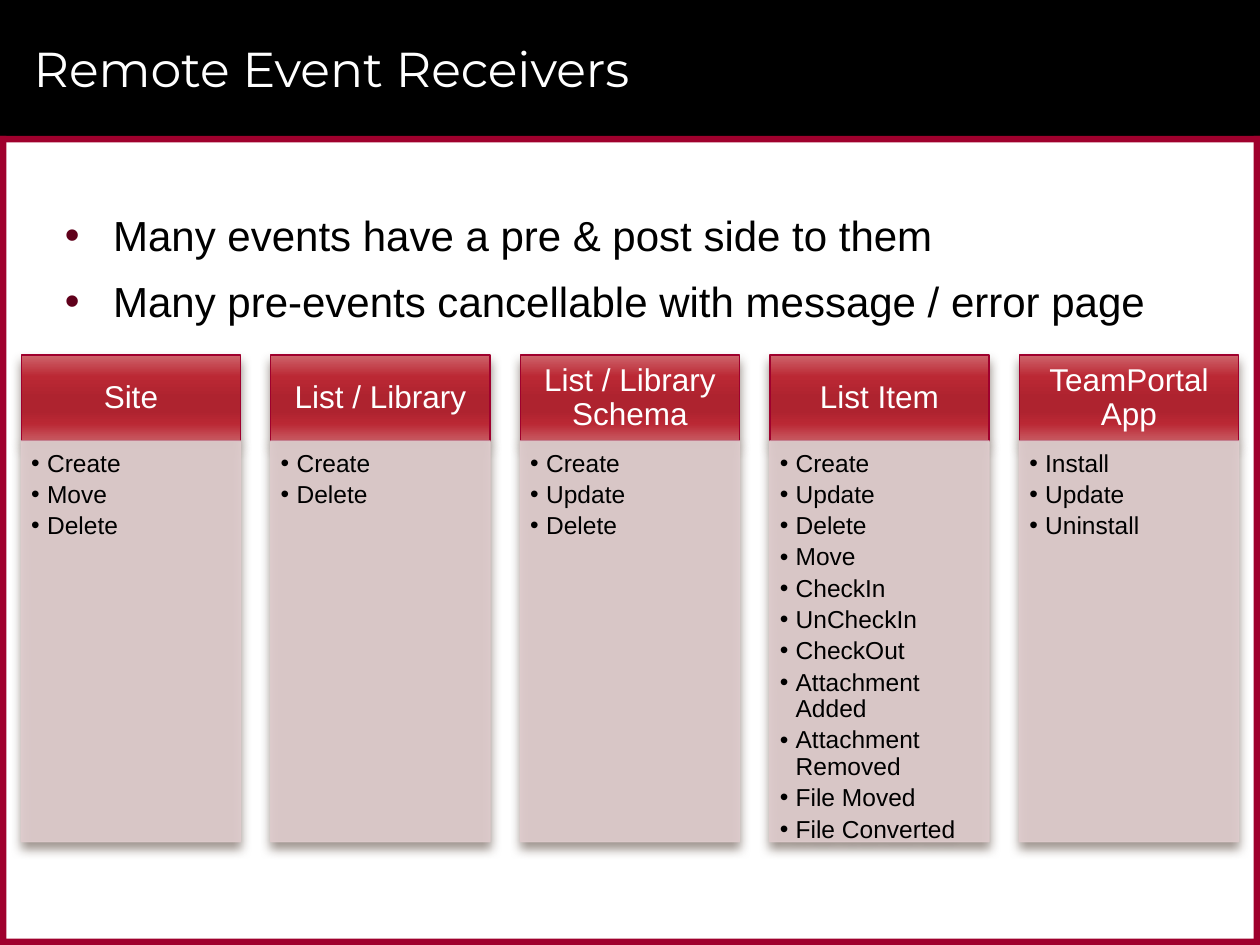
from dataclasses import dataclass

from lxml import etree
from pptx import Presentation
from pptx.dml.color import RGBColor
from pptx.enum.shapes import MSO_SHAPE
from pptx.enum.text import MSO_ANCHOR, PP_ALIGN
from pptx.oxml.ns import qn
from pptx.util import Cm, Pt

RECTANGLE = MSO_SHAPE.RECTANGLE
TOP, MIDDLE = MSO_ANCHOR.TOP, MSO_ANCHOR.MIDDLE
LEFT, CENTER = PP_ALIGN.LEFT, PP_ALIGN.CENTER


@dataclass(frozen=True)
class Theme:
    """Colours, fonts and type sizes of the deck."""
    black: str = "000000"
    white: str = "FFFFFF"
    crimson: str = "9F002D"
    bullet: str = "60001B"
    panel: str = "DFCCCD"
    shadow: str = "4E3B30"
    gloss: tuple = ((0, "CE646B"), (25, "BB2834"), (50, "AE232F"),
                    (65, "AE232F"), (80, "BA2834"), (100, "C95B63"))
    title_font: str = "Montserrat"
    body_font: str = "Arial"
    title_size: int = 28
    point_size: int = 24
    heading_size: int = 18
    item_size: int = 14


THEME = Theme()
WIDTH, HEIGHT = 25.4, 19.05
BANNER_HEIGHT, BORDER = 2.74, 0.13
COLUMN_LEFT, COLUMN_STEP, COLUMN_WIDTH = 0.43, 5.03, 4.42
HEADING_TOP, HEADING_HEIGHT, PANEL_HEIGHT = 7.16, 1.73, 8.08
POINTS = ("Many events have a pre & post side to them",
          "Many pre-events cancellable with message / error page")
COLUMNS = (
    ("Site", ("Create", "Move", "Delete")),
    ("List / Library", ("Create", "Delete")),
    ("List / Library Schema", ("Create", "Update", "Delete")),
    ("List Item", ("Create", "Update", "Delete", "Move", "CheckIn",
                   "UnCheckIn", "CheckOut", "Attachment Added",
                   "Attachment Removed", "File Moved", "File Converted")),
    ("TeamPortal App", ("Install", "Update", "Uninstall")),
)


def add_node(parent, tag, **attributes):
    """Append a drawing element with the given attributes."""
    values = {name: str(value) for name, value in attributes.items()}
    return etree.SubElement(parent, qn(tag), values)


def add_rectangle(page, left, top, width, height, color):
    """Add a plain rectangle without outline."""
    box = page.shapes.add_shape(RECTANGLE, Cm(left), Cm(top), Cm(width), Cm(height))
    box.shadow.inherit = False
    box.fill.solid()
    box.fill.fore_color.rgb = RGBColor.from_string(color)
    box.line.fill.background()
    return box


def add_text_box(page, left, top, width, height):
    """Add an empty text box."""
    return page.shapes.add_textbox(Cm(left), Cm(top), Cm(width), Cm(height))


def set_outline(box, color):
    """Give a card its thin outline."""
    box.line.color.rgb = RGBColor.from_string(color)
    box.line.width = Pt(0.79)


def set_gloss(box):
    """Fill a heading with the glossy vertical gradient."""
    box.fill.gradient()
    box.fill.gradient_angle = 270
    stops = next(box.element.spPr.iter(qn("a:gsLst")))
    for stop in list(stops):
        stops.remove(stop)
    for position, color in THEME.gloss:
        stop = add_node(stops, "a:gs", pos=position * 1000)
        add_node(stop, "a:srgbClr", val=color)


def set_opacity(box, percent):
    """Make the fill and outline of a shape translucent."""
    for color in list(box.element.spPr.iter(qn("a:srgbClr"))):
        add_node(color, "a:alpha", val=percent * 1000)


def set_shadow(box):
    """Drop a soft shadow below a shape."""
    effects = box.element.spPr.find(qn("a:effectLst"))
    shadow = add_node(effects, "a:outerShdw", blurRad=Pt(6), dist=Pt(4),
                      dir=5400000, rotWithShape=0)
    color = add_node(shadow, "a:srgbClr", val=THEME.shadow)
    add_node(color, "a:alpha", val=60000)


def set_text(box, lines, font, size, color, anchor=TOP, align=LEFT,
             line_spacing=1.0, gap=0):
    """Write the lines as paragraphs in one style."""
    frame = box.text_frame
    frame.text = "\n".join(lines)
    frame.word_wrap = True
    frame.vertical_anchor = anchor
    for index, paragraph in enumerate(frame.paragraphs):
        paragraph.alignment = align
        paragraph.line_spacing = line_spacing
        paragraph.space_before = Pt(gap if index else 0)
        for span in paragraph.runs:
            span.font.name = font
            span.font.size = Pt(size)
            span.font.color.rgb = RGBColor.from_string(color)


def set_insets(box, left, top, right, bottom):
    """Set the inner margins of a shape."""
    frame = box.text_frame
    frame.margin_left, frame.margin_top = Cm(left), Cm(top)
    frame.margin_right, frame.margin_bottom = Cm(right), Cm(bottom)


def set_bullets(box, indent, color):
    """Give every paragraph a hanging bullet."""
    for paragraph in box.text_frame.paragraphs:
        properties = paragraph._p.get_or_add_pPr()
        properties.set("marL", str(Cm(indent)))
        properties.set("indent", str(-Cm(indent)))
        add_node(add_node(properties, "a:buClr"), "a:srgbClr", val=color)
        add_node(properties, "a:buFont", typeface=THEME.body_font)
        add_node(properties, "a:buChar", char="•")


def add_frame(page):
    """Add the title banner and the border around the content."""
    side = HEIGHT - BANNER_HEIGHT
    add_rectangle(page, 0, 0, WIDTH, BANNER_HEIGHT, THEME.black)
    for left, top, width, height in (
            (0, BANNER_HEIGHT, WIDTH, BORDER),
            (0, HEIGHT - BORDER, WIDTH, BORDER),
            (WIDTH - BORDER, BANNER_HEIGHT, BORDER, side),
            (0, BANNER_HEIGHT, BORDER, side)):
        add_rectangle(page, left, top, width, height, THEME.crimson)


def add_column(page, left, heading, items):
    """Add a glossy heading with its panel of events below."""
    head = add_rectangle(page, left, HEADING_TOP, COLUMN_WIDTH, HEADING_HEIGHT,
                         THEME.crimson)
    set_gloss(head)
    set_outline(head, THEME.crimson)
    set_shadow(head)
    set_insets(head, 0.36, 0.2, 0.36, 0.2)
    set_text(head, (heading,), THEME.body_font, THEME.heading_size, THEME.white,
             MIDDLE, CENTER, 0.9)

    panel = add_rectangle(page, left, HEADING_TOP + HEADING_HEIGHT, COLUMN_WIDTH,
                          PANEL_HEIGHT, THEME.panel)
    set_outline(panel, THEME.panel)
    set_opacity(panel, 90)
    set_shadow(panel)
    set_insets(panel, 0.2, 0.2, 0.28, 0.3)
    set_text(panel, items, THEME.body_font, THEME.item_size, THEME.black,
             line_spacing=0.9, gap=2.75)
    set_bullets(panel, 0.32, THEME.black)


def main():
    """Build the slide and save it."""
    deck = Presentation()
    deck.slide_width, deck.slide_height = Cm(WIDTH), Cm(HEIGHT)
    page = deck.slides.add_slide(deck.slide_layouts[6])
    add_frame(page)

    title = add_text_box(page, 0.43, 0.2, 23.93, 2.34)
    set_text(title, ("Remote Event Receivers",), THEME.title_font,
             THEME.title_size, THEME.white, MIDDLE)

    for index, (heading, items) in enumerate(COLUMNS):
        add_column(page, COLUMN_LEFT + index * COLUMN_STEP, heading, items)

    points = add_text_box(page, 1.06, 4.1, 23.3, 2.9)
    set_text(points, POINTS, THEME.body_font, THEME.point_size, THEME.black, gap=9)
    set_bullets(points, 0.97, THEME.bullet)
    deck.save("out.pptx")


if __name__ == "__main__":
    main()
